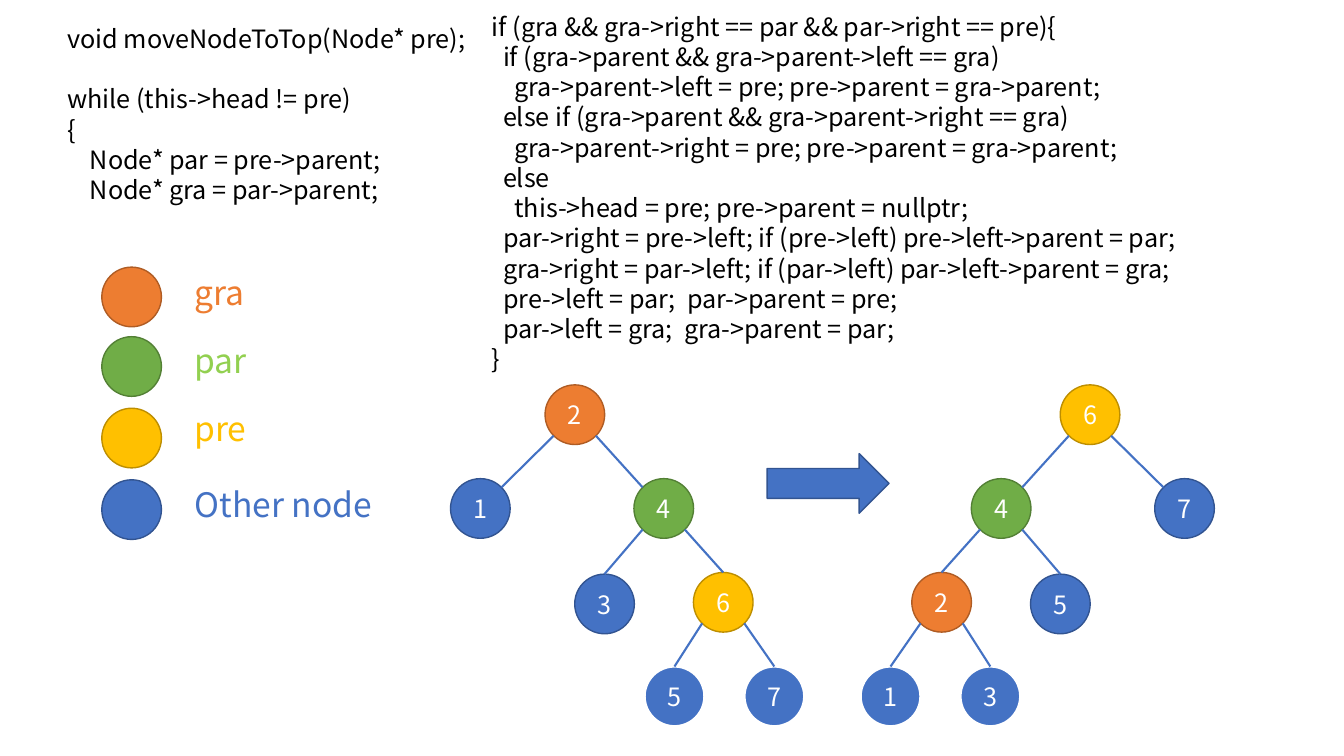
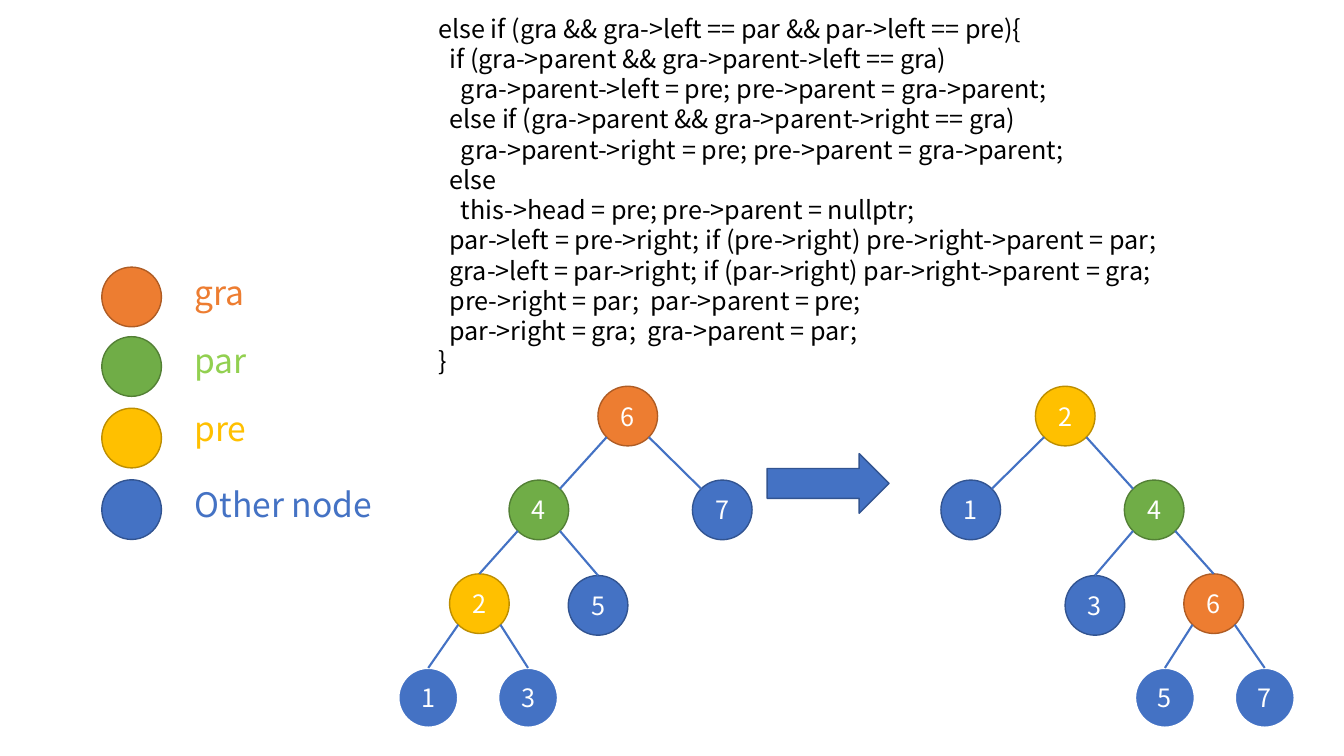
from math import sqrt

from lxml.etree import SubElement
from pptx import Presentation
from pptx.dml.color import RGBColor
from pptx.enum.shapes import MSO_CONNECTOR, MSO_SHAPE
from pptx.enum.text import MSO_ANCHOR, PP_ALIGN
from pptx.oxml.ns import qn
from pptx.util import Pt

FONT = "Noto Sans CJK SC"
CODE_SIZE = 18
SPACE_WIDTH = 4.03  # one space of code indentation
BLUE, WHITE, BLACK = "4472C4", "FFFFFF", "000000"

# Role of a node: fill and outline
ROLES = {
    "gra": ("ED7D31", "AF5C24"),
    "par": ("70AD47", "538035"),
    "pre": ("FFC000", "BD8E00"),
    "other": (BLUE, "325491"),
}

# Legend: role, label, label colour, circle top, label top
LEGEND = [
    ("gra", "gra", "ED7D31", 190.8, 190.8),
    ("par", "par", "92D050", 240.5, 239),
    ("pre", "pre", "FFC000", 291.6, 288),
    ("other", "Other node", BLUE, 342.7, 342),
]

# Right-leaning tree: centre offset from the root and parent of each node
DIAMETER = 42.6
RADIUS = DIAMETER / 2
DIAGONAL = RADIUS / sqrt(2)
TREE = [
    (0, 0, None),
    (-67.5, 67, 0),
    (63.5, 67, 0),
    (21.2, 135.2, 2),
    (106, 134, 2),
    (71.2, 201.2, 4),
    (142.5, 201.2, 4),
]
FIRST_LEAF = 5
RIGHT_LEANING = [2, 1, 4, 3, 6, 5, 7]
LEFT_LEANING = [6, 7, 4, 5, 2, 3, 1]

LOOP_START = [
    "void moveNodeToTop(Node* pre);",
    "while (this->head != pre)",
    "{",
    "    Node* par = pre->parent;",
    "    Node* gra = par->parent;",
]


def rotation_code(keyword, side, other):
    """Code for a straight line of three nodes leaning to one side."""
    return [
        f"{keyword} (gra && gra->{side} == par && par->{side} == pre){{",
        "  if (gra->parent && gra->parent->left == gra)",
        "    gra->parent->left = pre; pre->parent = gra->parent;",
        "  else if (gra->parent && gra->parent->right == gra)",
        "    gra->parent->right = pre; pre->parent = gra->parent;",
        "  else",
        "    this->head = pre; pre->parent = nullptr;",
        f"  par->{side} = pre->{other}; if (pre->{other}) pre->{other}->parent = par;",
        f"  gra->{side} = par->{other}; if (par->{other}) par->{other}->parent = gra;",
        f"  pre->{other} = par;  par->parent = pre;",
        f"  par->{other} = gra;  gra->parent = par;",
        "}",
    ]


def rgb(color):
    return RGBColor.from_string(color)


def style_text(paragraph, size, color):
    for run in paragraph.runs:
        run.font.name = FONT
        run.font.size = Pt(size)
        run.font.color.rgb = rgb(color)
        east_asian = SubElement(run.font._element, qn("a:ea"))
        east_asian.set("typeface", FONT)


def add_lines(slide, lines, left, top, width, height, size, color):
    """Text box whose leading spaces become paragraph indents."""
    frame = slide.shapes.add_textbox(
        Pt(left), Pt(top), Pt(width), Pt(height)).text_frame
    frame.word_wrap = True
    frame.text = "\n".join(line.lstrip() for line in lines)
    for paragraph, line in zip(frame.paragraphs, lines):
        indent = len(line) - len(line.lstrip())
        if indent:
            properties = paragraph._p.get_or_add_pPr()
            properties.set("marL", str(Pt(indent * SPACE_WIDTH)))
            properties.set("indent", "0")
        style_text(paragraph, size, color)
    return frame


def add_code(slide, lines, left, top, width, height):
    return add_lines(slide, lines, left, top, width, height, CODE_SIZE, BLACK)


def add_filled(shapes, preset, left, top, width, height, role):
    shape = shapes.add_shape(preset, Pt(left), Pt(top), Pt(width), Pt(height))
    fill, outline = ROLES[role]
    shape.shadow.inherit = False
    shape.fill.solid()
    shape.fill.fore_color.rgb = rgb(fill)
    shape.line.color.rgb = rgb(outline)
    shape.line.width = Pt(1)
    return shape


def add_node(shapes, x, y, value, role, is_leaf):
    node = add_filled(shapes, MSO_SHAPE.OVAL, x - RADIUS, y - RADIUS,
                      DIAMETER, DIAMETER, role)
    if is_leaf:
        node.line.color.rgb = rgb(WHITE)
        node.line.width = Pt(1.5)
    frame = node.text_frame
    frame.text = str(value)
    frame.vertical_anchor = MSO_ANCHOR.MIDDLE
    frame.paragraphs[0].alignment = PP_ALIGN.CENTER
    style_text(frame.paragraphs[0], CODE_SIZE, WHITE)


def add_edge(shapes, parent, child, meets_side):
    """Line from the lower side of the parent to the child."""
    (x1, y1), (x2, y2) = parent, child
    side = DIAGONAL if x2 > x1 else -DIAGONAL
    end = (x2 - side, y2 - DIAGONAL) if meets_side else (x2, y2 - RADIUS)
    edge = shapes.add_connector(
        MSO_CONNECTOR.STRAIGHT, Pt(x1 + side), Pt(y1 + DIAGONAL),
        Pt(end[0]), Pt(end[1]))
    edge.line.color.rgb = rgb(BLUE)
    edge.line.width = Pt(1.5)
    SubElement(edge._element.spPr, qn("a:effectLst"))


def add_tree(slide, root_x, root_y, values, top_role, low_role):
    shapes = slide.shapes.add_group_shape().shapes
    direction = 1 if values == RIGHT_LEANING else -1
    roles = [top_role, "other", "par", "other", low_role, "other", "other"]
    centres = [(root_x + direction * dx, root_y + dy) for dx, dy, _ in TREE]
    for index, (x, y) in enumerate(centres):
        add_node(shapes, x, y, values[index], roles[index], index >= FIRST_LEAF)
    for centre, (_, _, parent) in zip(centres, TREE):
        if parent is not None:
            add_edge(shapes, centres[parent], centre, parent == 0)


def add_legend(slide):
    for role, label, color, circle_top, label_top in LEGEND:
        add_filled(slide.shapes, MSO_SHAPE.OVAL, 72.7, circle_top,
                   DIAMETER, DIAMETER, role)
        add_lines(slide, [label], 131.8, label_top, 155.5, 36, 24, color)


def add_rotation_slide(deck, root_y, before, after):
    """Legend, arrow and the trees before and after the rotation."""
    slide = deck.slides.add_slide(deck.slide_layouts[6])
    add_legend(slide)
    add_tree(slide, before[0], root_y, before[1], "gra", "pre")
    add_tree(slide, after[0], root_y, after[1], "pre", "gra")
    add_filled(slide.shapes, MSO_SHAPE.RIGHT_ARROW, 547.9, 324, 87.1, 42.6,
               "other")
    return slide


def main():
    deck = Presentation()
    deck.slide_width, deck.slide_height = Pt(960), Pt(540)

    # Right-right case
    slide = add_rotation_slide(deck, 296.2, (410.6, RIGHT_LEANING),
                               (778.6, LEFT_LEANING))
    loop = add_code(slide, LOOP_START, 41, 13, 526.3, 159.8)
    loop.paragraphs[1].space_before = Pt(21.6)
    add_code(slide, rotation_code("if", "right", "left"),
             344.2, 4.3, 595.4, 269.3)

    # Left-left case
    slide = add_rotation_slide(deck, 297.2, (448.4, LEFT_LEANING),
                               (760.9, RIGHT_LEANING))
    add_code(slide, rotation_code("else if", "left", "right"),
             306, 5.8, 622.1, 269.3)

    deck.save("out.pptx")


main()
